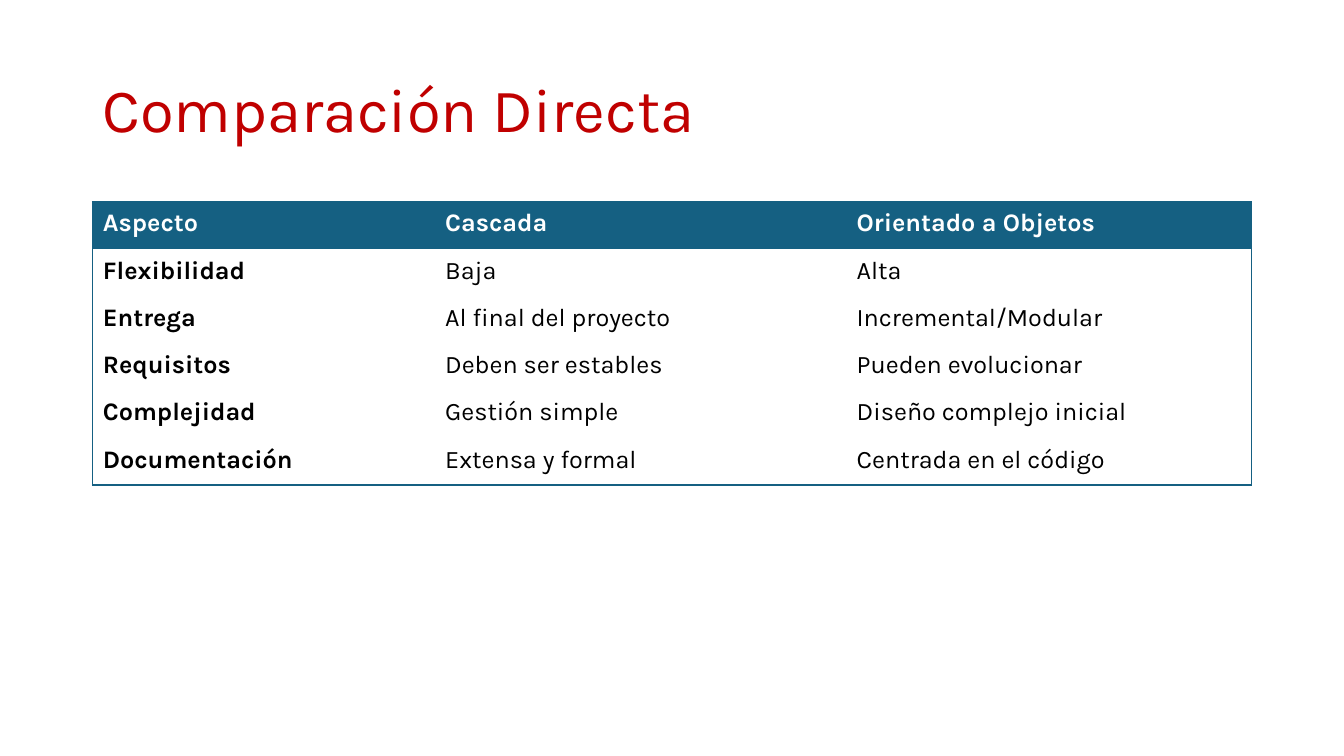
from lxml import etree
from pptx import Presentation
from pptx.dml.color import RGBColor
from pptx.enum.text import MSO_ANCHOR
from pptx.oxml.ns import qn
from pptx.util import Pt

MIDDLE = MSO_ANCHOR.MIDDLE
PX = 9525  # EMU per px, 96 px to the inch
THEME = {
    "font": "Karla", "title_size": 44, "cell_size": 18, "cell_leading": 18.8,
    "title": "C00000", "accent": "156082", "header_text": "FFFFFF", "text": "000000",
}


def style_text(paragraph, size, color, bold=False):
    font = paragraph.runs[0].font
    font.name, font.size, font.bold = THEME["font"], Pt(size), bold
    font.color.rgb = RGBColor.from_string(THEME[color])


def set_borders(cell, visible_sides):
    """Border lines come before the fill in the cell properties."""
    properties = cell._tc.get_or_add_tcPr()
    for position, side in enumerate("LRTB"):
        line = etree.Element(qn(f"a:ln{side}"), w=str(Pt(1)))
        if side in visible_sides:
            fill = etree.SubElement(line, qn("a:solidFill"))
            etree.SubElement(fill, qn("a:srgbClr"), val=THEME["accent"])
        else:
            etree.SubElement(line, qn("a:noFill"))
        properties.insert(position, line)


prs = Presentation()
prs.slide_width, prs.slide_height = 1280 * PX, 720 * PX
slide = prs.slides.add_slide(prs.slide_layouts[6])
LEFT, WIDTH = 88 * PX, 1104 * PX

# Title
heading = slide.shapes.add_textbox(LEFT, 38 * PX, WIDTH, 139 * PX).text_frame
heading.word_wrap = True
heading.vertical_anchor = MIDDLE
heading.text = "Comparación Directa"
heading.paragraphs[0].line_spacing = 0.9
style_text(heading.paragraphs[0], THEME["title_size"], "title")

# Comparison table
COMPARISON = [
    ("Aspecto", "Cascada", "Orientado a Objetos"),
    ("Flexibilidad", "Baja", "Alta"),
    ("Entrega", "Al final del proyecto", "Incremental/Modular"),
    ("Requisitos", "Deben ser estables", "Pueden evolucionar"),
    ("Complejidad", "Gestión simple", "Diseño complejo inicial"),
    ("Documentación", "Extensa y formal", "Centrada en el código"),
]
COLUMN_WIDTHS = [320, 392, 392]
ROW_HEIGHT = 45
last_row, last_column = len(COMPARISON) - 1, len(COLUMN_WIDTHS) - 1

comparison = slide.shapes.add_table(
    len(COMPARISON), len(COLUMN_WIDTHS), LEFT, 192 * PX,
    WIDTH, len(COMPARISON) * ROW_HEIGHT * PX).table
comparison.first_row = comparison.horz_banding = False
for column, width in zip(comparison.columns, COLUMN_WIDTHS):
    column.width = width * PX

for r, aspect in enumerate(COMPARISON):
    comparison.rows[r].height = ROW_HEIGHT * PX
    for c, wording in enumerate(aspect):
        cell = comparison.cell(r, c)
        is_header = r == 0

        # Wording
        cell.text = wording
        cell.vertical_anchor = MIDDLE
        cell.margin_left = (10 if c == 0 else 16) * PX
        cell.margin_right = (10 if c == last_column and not is_header else 16) * PX
        cell.margin_top = cell.margin_bottom = 9 * PX
        paragraph = cell.text_frame.paragraphs[0]
        paragraph.line_spacing = Pt(THEME["cell_leading"])
        style_text(paragraph, THEME["cell_size"],
                   "header_text" if is_header else "text", is_header or c == 0)

        # Header fill and outer frame
        if is_header:
            cell.fill.solid()
            cell.fill.fore_color.rgb = RGBColor.from_string(THEME["accent"])
        else:
            cell.fill.background()
        edges = {"L": c == 0, "R": c == last_column, "T": is_header, "B": r == last_row}
        set_borders(cell, [side for side, outer in edges.items() if outer])

prs.save("out.pptx")
